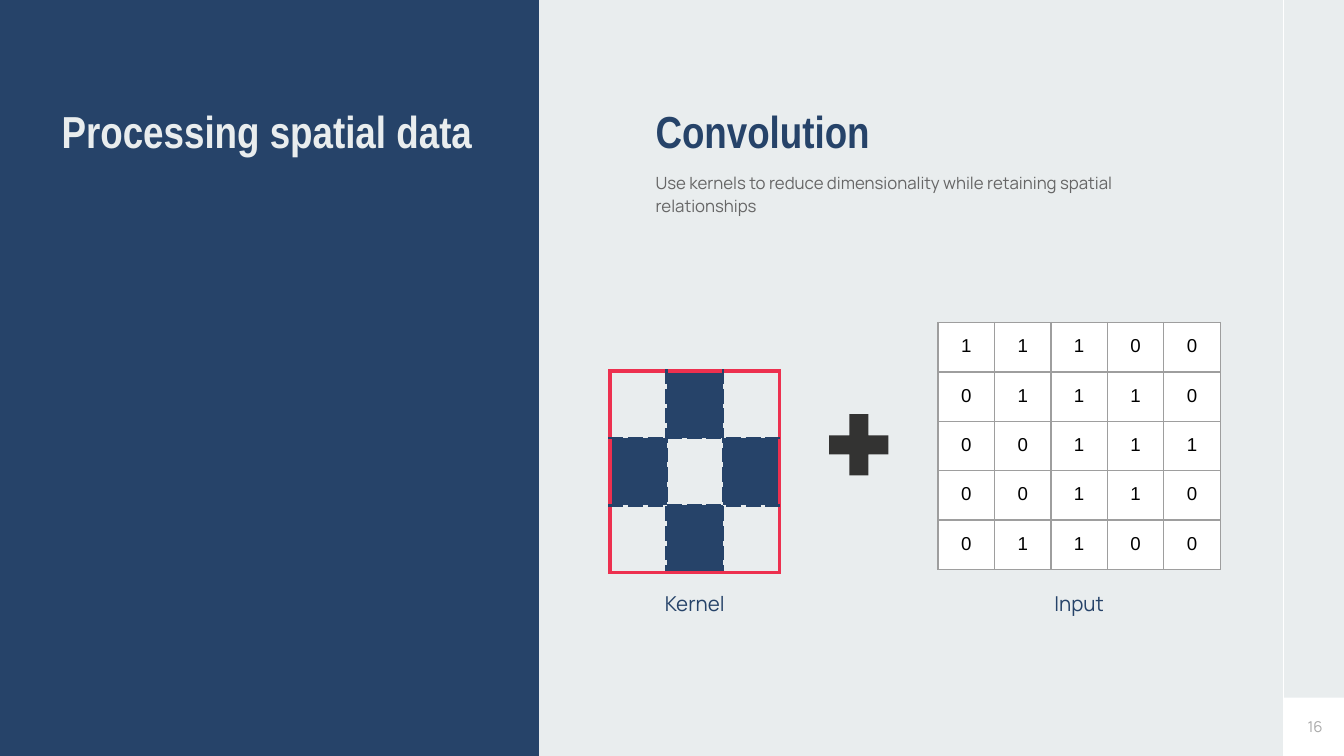
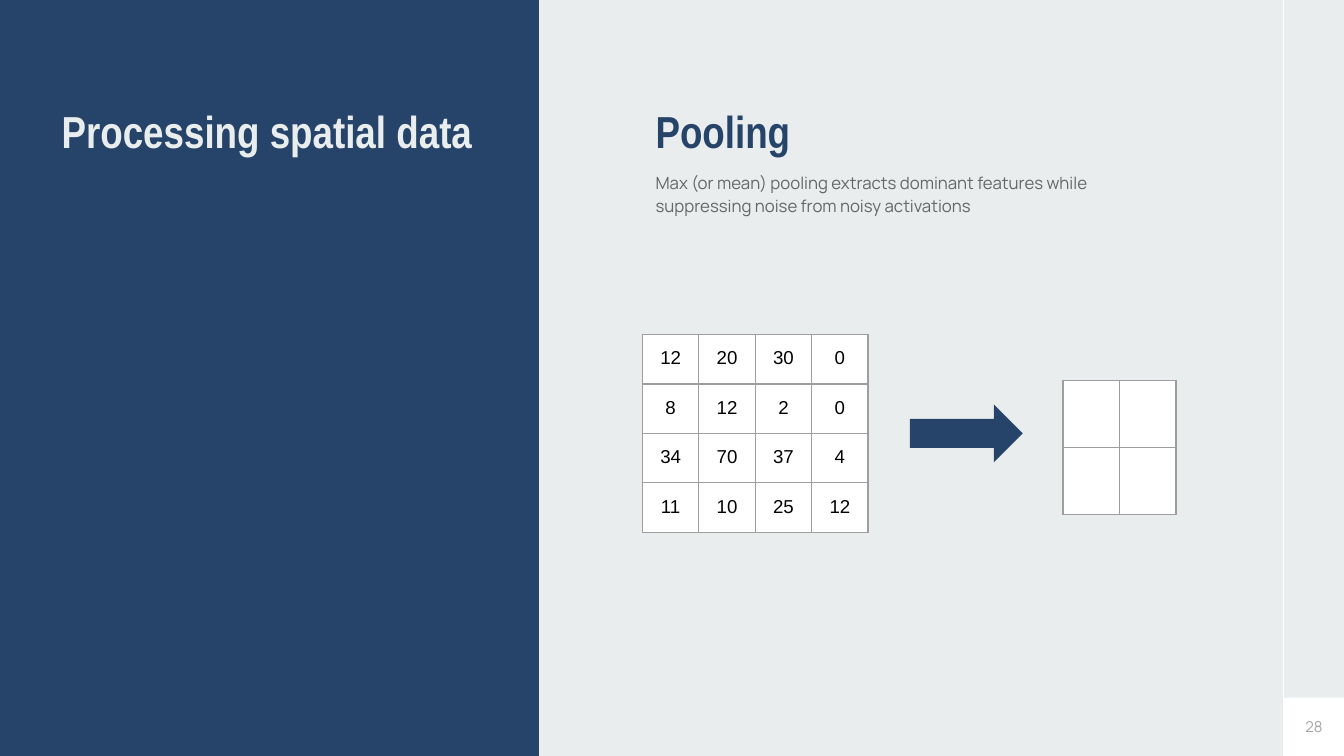
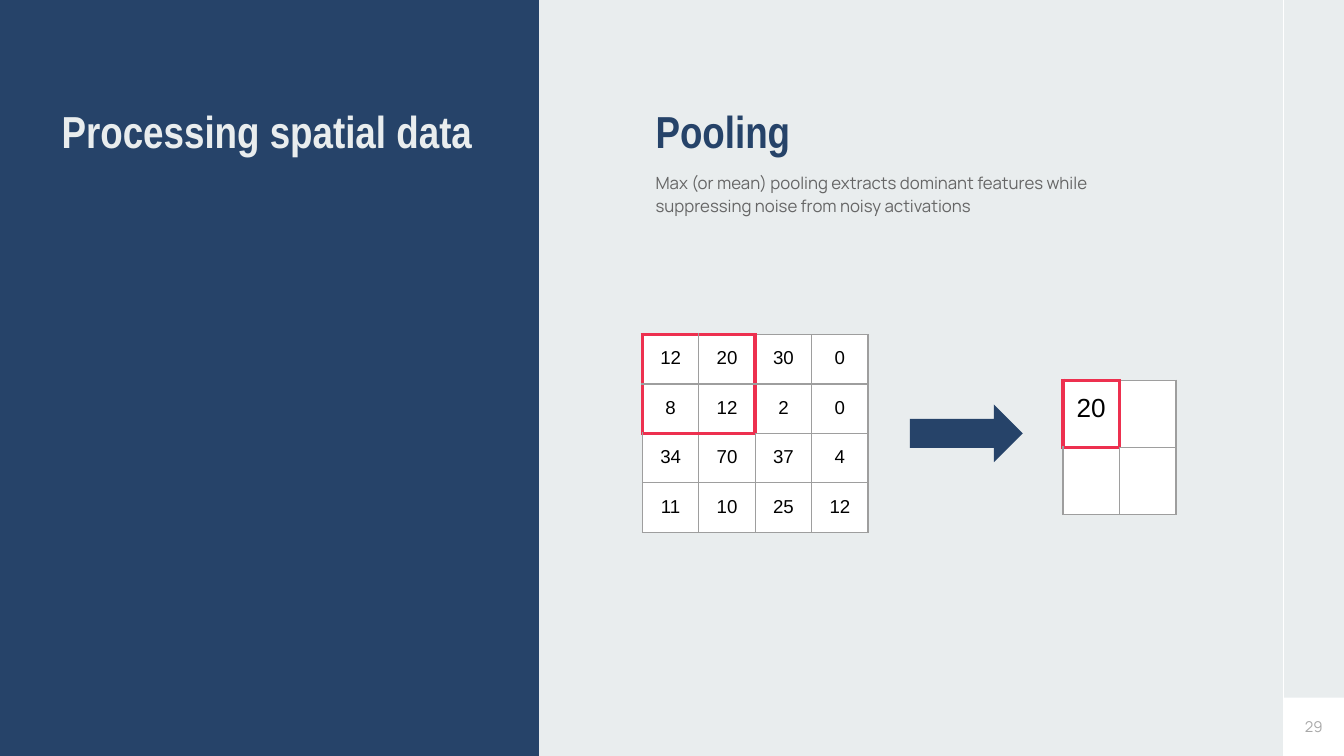
from dataclasses import dataclass
from itertools import product

from lxml import etree
from pptx import Presentation, util as u
from pptx.dml import color
from pptx.enum import shapes, text
from pptx.oxml import ns


class Theme:
    """Colours, fonts and type styles of the deck."""
    navy, paper, white, red = "264369", "E9EDEE", "FFFFFF", "ED304F"
    grey, ink = "9E9E9E", "333332"
    heading = dict(name="Arial Narrow", size=24, bold=True, color=navy)
    banner = dict(heading, color=paper)
    body = dict(name="Manrope", size=9, color="666666")
    caption = dict(name="Manrope", size=11, color=navy)
    number = dict(name="Manrope", size=8, color="A8A8A8")
    cell = dict(name="Arial", size=10, color="000000")
    result = dict(cell, size=14)
    hairline = (grey, 0.75, "solid")
    dashed = (navy, 1.5, "dash")
    outline = (red, 2.25, "solid")
    loose = dict(line_spacing=1.15, space_after=u.Pt(16))
    centred = dict(alignment=text.PP_ALIGN.CENTER)


COLUMNS, ROWS = 100, 56.25
UNIT = u.Inches(0.1)
CELL_WIDTH, TIGHT_ROW, TALL_ROW = 4.2, 3.5, 4.8


@dataclass
class Box:
    """A region measured in grid columns and rows."""
    left: float
    top: float
    width: float
    height: float

    def inner(self, left, top, width, height):
        """Return a box placed relative to this one."""
        return Box(self.left + left, self.top + top, width, height)

    def emu(self):
        """Return left, top, width and height in slide units."""
        return [round(n * UNIT) for n in (self.left, self.top, self.width, self.height)]


PANEL = Box(0, 0, 40.1, ROWS)
CONTENT = Box(40.1, 0, 55.4, ROWS)
RAIL = Box(95.5, 0, 4.5, ROWS)


def rgb(value):
    """Turn a hex string into a colour."""
    return color.RGBColor.from_string(value)


def apply(target, values):
    """Set attributes of an object from a dict."""
    for name, value in values.items():
        setattr(target, name, value)


def write(frame, words, style, layout):
    """Write one styled paragraph into a text frame."""
    para = frame.paragraphs[0]
    apply(para, layout)
    span = para.add_run()
    span.text = words
    apply(span.font, dict(name=style["name"], size=u.Pt(style["size"]),
                          bold=style.get("bold", False)))
    span.font.color.rgb = rgb(style["color"])


def add_text(page, box, words, style, layout=None, anchor=text.MSO_ANCHOR.TOP):
    """Add a wrapping text box."""
    frame = page.shapes.add_textbox(*box.emu()).text_frame
    margins = {f"margin_{side}": UNIT for side in ("left", "right", "top", "bottom")}
    apply(frame, dict(margins, word_wrap=True, vertical_anchor=anchor))
    write(frame, words, style, layout or {})


def add_block(page, box, fill, kind=shapes.MSO_SHAPE.RECTANGLE, adjust=()):
    """Add a flat filled shape without a line."""
    block = page.shapes.add_shape(kind, *box.emu())
    block.shadow.inherit = False
    block.fill.solid()
    block.fill.fore_color.rgb = rgb(fill)
    block.line.fill.background()
    for index, value in enumerate(adjust):
        block.adjustments[index] = value


def set_borders(cell, borders):
    """Write the four cell borders, ordered left, right, top, bottom."""
    properties = cell._tc.get_or_add_tcPr()
    for index, (side, (tint, width, dash)) in enumerate(zip("LRTB", borders)):
        line = etree.Element(ns.qn(f"a:ln{side}"), w=str(u.Pt(width)))
        fill = etree.SubElement(line, ns.qn("a:solidFill"))
        etree.SubElement(fill, ns.qn("a:srgbClr"), val=tint)
        etree.SubElement(line, ns.qn("a:prstDash"), val=dash)
        properties.insert(index, line)


def add_matrix(page, box, values, fills, style=Theme.cell, layout=Theme.centred,
               border=Theme.hairline, marked=()):
    """Add a table of cells and outline the marked block of cells."""
    rows, columns = len(values), len(values[0])
    table = page.shapes.add_table(rows, columns, *box.emu()).table
    apply(table, dict(first_row=False, horz_banding=False))
    for track in table.columns:
        track.width = round(box.width / columns * UNIT)
    for track in table.rows:
        track.height = round(box.height / rows * UNIT)
    for row, column in product(range(rows), range(columns)):
        cell = table.cell(row, column)
        apply(cell, {f"margin_{side}": UNIT for side in ("left", "right", "top", "bottom")})
        if values[row][column] != "":
            write(cell.text_frame, str(values[row][column]), style, layout)
        if fills[row][column]:
            cell.fill.solid()
            cell.fill.fore_color.rgb = rgb(fills[row][column])
        else:
            cell.fill.background()
        neighbours = [(row, column - 1), (row, column + 1), (row - 1, column), (row + 1, column)]
        set_borders(cell, [Theme.outline if (spot in marked) != ((row, column) in marked)
                           else border for spot in neighbours])


def matrix_box(region, left, top, rows, columns, row_height):
    """Return the box of a matrix with standard columns."""
    return region.inner(left, top, columns * CELL_WIDTH, rows * row_height)


def block_of(rows, columns):
    """Return the cells of a block at the top left."""
    return set(product(range(rows), range(columns)))


def plain(rows, columns, value):
    """Return a matrix filled with one value."""
    return [[value] * columns for _ in range(rows)]


def side_panel(page, box):
    """Draw the navy panel with the section title."""
    add_block(page, box, Theme.navy)
    add_text(page, box.inner(3.6, 6.7, 35.1, 40.2), "Processing spatial data", Theme.banner)


def rail(page, box, number):
    """Draw the right rail with the page number."""
    corner = box.inner(0, 51.9, box.width, 4.35)
    add_block(page, corner, Theme.white)
    left, top, _, height = box.emu()
    line = page.shapes.add_connector(shapes.MSO_CONNECTOR.STRAIGHT, left, top + height, left, top)
    line.line.color.rgb = rgb(Theme.white)
    line.line.width = u.Pt(0.75)
    etree.SubElement(line._element.spPr, ns.qn("a:effectLst"))
    add_text(page, corner.inner(-2.1, 0, 6, corner.height), str(number), Theme.number,
             dict(alignment=text.PP_ALIGN.RIGHT), text.MSO_ANCHOR.MIDDLE)


def topic(page, box, title, summary):
    """Write the topic title and its summary."""
    add_text(page, box.inner(7.7, 11.6, 39.7, 5.5), summary, Theme.body, Theme.loose)
    add_text(page, box.inner(7.7, 6.7, 43.3, 6.2), title, Theme.heading)


def convolution(page, box):
    """Show a kernel, a plus sign and the input matrix."""
    topic(page, box, "Convolution",
          "Use kernels to reduce dimensionality while retaining spatial relationships")
    checks = [[Theme.navy if (row + column) % 2 else None for column in range(3)]
              for row in range(3)]
    pixels = [[1, 1, 1, 0, 0],
              [0, 1, 1, 1, 0],
              [0, 0, 1, 1, 1],
              [0, 0, 1, 1, 0],
              [0, 1, 1, 0, 0]]
    kernel_box = matrix_box(box, 5.3, 27.6, 3, 3, TALL_ROW)
    input_box = matrix_box(box, 29.7, 24, 5, 5, TIGHT_ROW)
    add_matrix(page, kernel_box, plain(3, 3, ""), checks, border=Theme.dashed,
               marked=block_of(3, 3))
    add_matrix(page, input_box, pixels, plain(5, 5, Theme.white))
    for label, matrix in (("Kernel", kernel_box), ("Input", input_box)):
        add_text(page, Box(matrix.left, 42.7, matrix.width, 3.7), label, Theme.caption,
                 dict(Theme.loose, **Theme.centred))
    add_block(page, box.inner(20.8, 30, 6, 6.2), Theme.ink, shapes.MSO_SHAPE.MATH_PLUS, (0.235,))


def pooling(page, box, pooled, window=(), target=()):
    """Show a matrix, an arrow and its pooled result."""
    topic(page, box, "Pooling", "Max (or mean) pooling extracts dominant features while "
          "suppressing noise from noisy activations")
    activations = [[12, 20, 30, 0],
                   [8, 12, 2, 0],
                   [34, 70, 37, 4],
                   [11, 10, 25, 12]]
    add_matrix(page, matrix_box(box, 7.7, 24.9, 4, 4, TIGHT_ROW), activations,
               plain(4, 4, Theme.white), marked=window)
    add_matrix(page, matrix_box(box, 39, 28.3, 2, 2, TALL_ROW), pooled,
               plain(2, 2, Theme.white), Theme.result, {}, marked=target)
    add_block(page, box.inner(27.6, 30.1, 8.4, 4.3), Theme.navy, shapes.MSO_SHAPE.RIGHT_ARROW,
              (0.5, 0.5))


def main():
    """Build and save the deck."""
    deck = Presentation()
    apply(deck, dict(slide_width=round(COLUMNS * UNIT), slide_height=round(ROWS * UNIT)))
    pages = [
        (16, convolution, {}),
        (28, pooling, dict(pooled=plain(2, 2, ""))),
        (29, pooling, dict(pooled=[[20, ""], ["", ""]], window=block_of(2, 2),
                           target=block_of(1, 1))),
    ]
    for number, draw, options in pages:
        page = deck.slides.add_slide(deck.slide_layouts[6])
        page.background.fill.solid()
        page.background.fill.fore_color.rgb = rgb(Theme.paper)
        side_panel(page, PANEL)
        rail(page, RAIL, number)
        draw(page, CONTENT, **options)
    deck.save("out.pptx")


if __name__ == "__main__":
    main()
